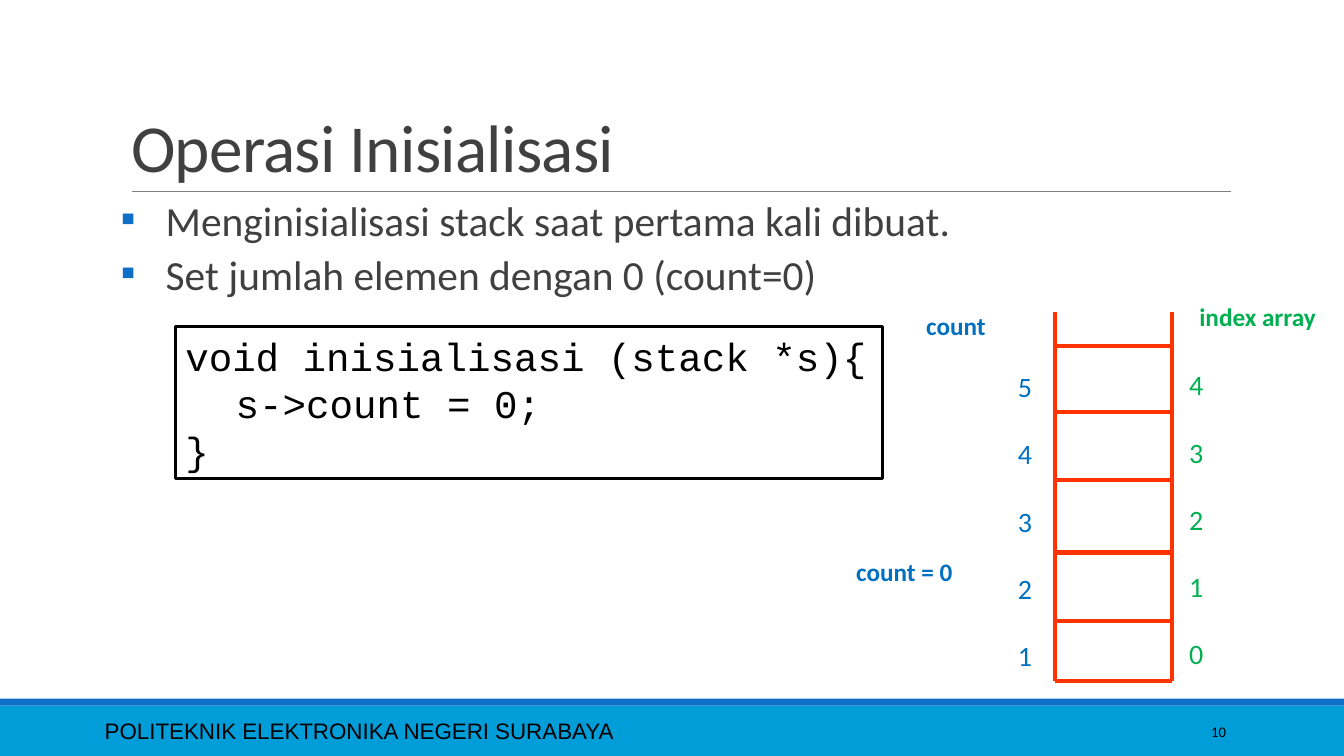
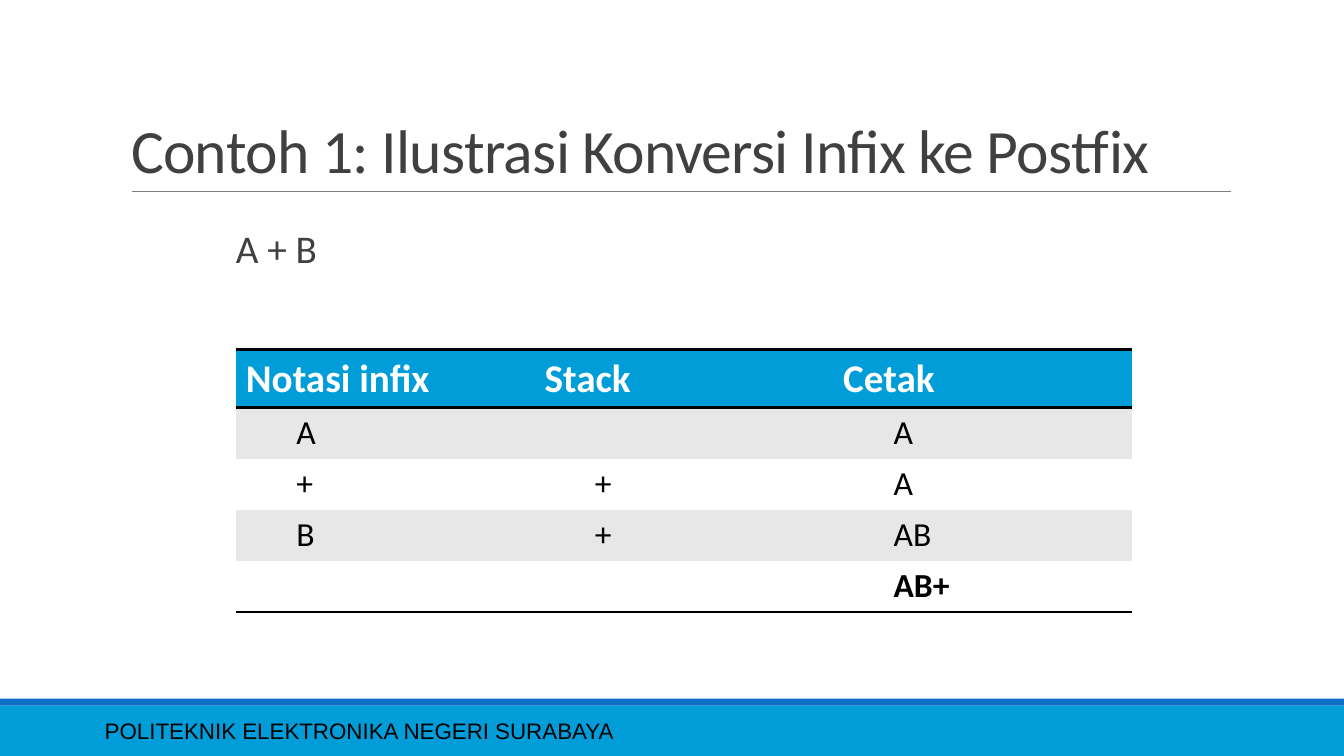
from lxml import etree
from pptx import Presentation
from pptx.dml.color import RGBColor
from pptx.enum.shapes import MSO_CONNECTOR, MSO_SHAPE
from pptx.enum.text import MSO_ANCHOR, MSO_AUTO_SIZE, PP_ALIGN
from pptx.oxml.ns import qn
from pptx.util import Pt

STRAIGHT = MSO_CONNECTOR.STRAIGHT
RECTANGLE = MSO_SHAPE.RECTANGLE
MIDDLE, BOTTOM = MSO_ANCHOR.MIDDLE, MSO_ANCHOR.BOTTOM
NO_FIT = MSO_AUTO_SIZE.NONE
LEFT, CENTER, RIGHT = PP_ALIGN.LEFT, PP_ALIGN.CENTER, PP_ALIGN.RIGHT

WIDTH, HEIGHT = 960, 540
BLACK, WHITE, GRAY = "000000", "FFFFFF", "404040"
BLUE, DARK_BLUE, RULE_GRAY = "009DD9", "0F6FC6", "808080"
STACK_RED, COUNT_BLUE, INDEX_GREEN = "FF3300", "0070C0", "00B050"
STRIPE = "E7E7E7"
BODY_FONT, FOOTER_FONT, CODE_FONT = "Calibri", "Arial", "Courier New"
NO_STYLE = "{2D5ABB26-0587-4C30-8999-92F81FD0307C}"

FOOTER = "POLITEKNIK ELEKTRONIKA NEGERI SURABAYA"

INIT_TITLE = "Operasi Inisialisasi"
INIT_POINTS = [
    "Menginisialisasi stack saat pertama kali dibuat.",
    "Set jumlah elemen dengan 0 (count=0)",
]
INIT_CODE = [(0, "void inisialisasi (stack *s){"), (36, "s->count = 0;"), (0, "}")]
STACK_LEFT, STACK_RIGHT = 753.8, 837.4
STACK_TOP, STACK_BOTTOM = 223.2, 486.7
STACK_RUNGS = [247, 294.5, 342.7, 394.6, 443.5, STACK_BOTTOM]
# box, numbers from top to bottom, colour
STACK_NUMBERS = [
    ((720, 260.6, 24.5, 225.4), "54321", COUNT_BLUE),
    ((842.4, 259.2, 24.5, 225.4), "43210", INDEX_GREEN),
]
# box, text, colour, alignment
STACK_LABELS = [
    ((596.2, 393.8, 99.4, 28.8), "count = 0", COUNT_BLUE, CENTER),
    ((654.5, 218.2, 99.4, 28.8), "count", COUNT_BLUE, LEFT),
    ((849.6, 211.7, 99.4, 28.8), "index array", INDEX_GREEN, LEFT),
]

POSTFIX_TITLE = "Contoh 1: Ilustrasi Konversi Infix ke Postfix"
EXPRESSION = "A + B"
CONVERSION = [
    ("Notasi infix", "Stack", "Cetak"),
    ("A", "", "A"),
    ("+", "+", "A"),
    ("B", "+", "AB"),
    ("", "", "AB+"),
]


def rgb(color):
    return RGBColor.from_string(color)


def points(values):
    return [Pt(value) for value in values]


def style(para, size, color, font=BODY_FONT, bold=False):
    para.font.name = font
    para.font.size = Pt(size)
    para.font.bold = bold
    para.font.color.rgb = rgb(color)


def indent(para, left, first=0):
    properties = para._p.get_or_add_pPr()
    properties.set("marL", str(Pt(left)))
    properties.set("indent", str(Pt(first)))


def write(frame, lines, size, color, font=BODY_FONT, bold=False, align=LEFT):
    """Fill the frame with one paragraph per line and return the paragraphs."""
    frame.text = "\n".join(lines)
    for para in frame.paragraphs:
        style(para, size, color, font, bold)
        para.alignment = align
    return frame.paragraphs


def add_text(slide, box, lines, size, color, **options):
    frame = slide.shapes.add_textbox(*points(box)).text_frame
    frame.word_wrap = True
    return frame, write(frame, lines, size, color, **options)


def add_body(slide, box, lines, size, spacing):
    frame, paras = add_text(slide, box, lines, size, GRAY)
    frame.margin_left = frame.margin_right = 0
    for para in paras:
        para.line_spacing = spacing
        para.space_before, para.space_after = Pt(12), Pt(2)
    return paras


def add_bullet(para):
    indent(para, 32, -32)
    properties = para._p.get_or_add_pPr()
    bullet_color = etree.SubElement(properties, qn("a:buClr"))
    etree.SubElement(bullet_color, qn("a:srgbClr"), val=DARK_BLUE)
    etree.SubElement(properties, qn("a:buFont"), typeface=BODY_FONT)
    etree.SubElement(properties, qn("a:buChar"), char="▪")


def add_box(slide, box, fill=None, line=None):
    shape = slide.shapes.add_shape(RECTANGLE, *points(box))
    shape.shadow.inherit = False
    if fill:
        shape.fill.solid()
        shape.fill.fore_color.rgb = rgb(fill)
    else:
        shape.fill.background()
    if line:
        shape.line.color.rgb = rgb(line)
        shape.line.width = Pt(2.25)
    else:
        shape.line.fill.background()
    return shape


def add_line(slide, ends, color, width):
    line = slide.shapes.add_connector(STRAIGHT, *points(ends))
    line.line.color.rgb = rgb(color)
    line.line.width = Pt(width)
    etree.SubElement(line.element.spPr, qn("a:effectLst"))


def add_slide(deck, title, title_size):
    """Add a slide with the shared bands, title rule, footer and title."""
    slide = deck.slides.add_slide(deck.slide_layouts[5])
    add_box(slide, (0, 504, WIDTH, 36), BLUE)
    add_box(slide, (0, 499, WIDTH, 5), DARK_BLUE)
    add_line(slide, (94.3, 136.8, 879, 136.8), RULE_GRAY, 0.5)
    footer, _ = add_text(slide, (67.7, 507.6, 605.5, 28.8), [FOOTER], 16, BLACK,
                         font=FOOTER_FONT)
    footer.vertical_anchor = MIDDLE

    holder = slide.shapes.title
    holder.left, holder.top, holder.width, holder.height = points((86.4, 22.3, 792, 114.5))
    frame = holder.text_frame
    frame.auto_size = NO_FIT
    frame.vertical_anchor = BOTTOM
    para = write(frame, [title], title_size, GRAY)[0]
    para.line_spacing = 0.85
    para.runs[0].font._element.set("spc", "-50")
    return slide


def add_stack(slide):
    for x in (STACK_LEFT, STACK_RIGHT):
        add_line(slide, (x, STACK_TOP, x, STACK_BOTTOM), STACK_RED, 3)
    for y in STACK_RUNGS:
        add_line(slide, (STACK_LEFT, y, STACK_RIGHT, y), STACK_RED, 3)
    for box, numbers, color in STACK_NUMBERS:
        frame, paras = add_text(slide, box, numbers, 20, color)
        frame.word_wrap = False
        for para in paras[1:]:
            para.space_before = Pt(24)
    for box, label, color, align in STACK_LABELS:
        add_text(slide, box, [label], 18, color, bold=True, align=align)


def add_initialisation_slide(deck):
    slide = add_slide(deck, INIT_TITLE, 48)
    number, _ = add_text(slide, (779.8, 508.3, 103, 28.8), ["10"], 10.5, BLACK, align=RIGHT)
    number.vertical_anchor = MIDDLE
    for para in add_body(slide, (86.4, 145.4, 792, 77.8), INIT_POINTS, 29.6, 0.7):
        add_bullet(para)
    code = add_box(slide, (125.3, 233.3, 505.4, 108.7), line=BLACK).text_frame
    paras = write(code, [text for _, text in INIT_CODE], 28, BLACK, CODE_FONT)
    for para, (left, _) in zip(paras, INIT_CODE):
        indent(para, left)
    add_stack(slide)


def add_border(cell, side):
    line = etree.SubElement(cell._tc.get_or_add_tcPr(), qn("a:" + side), w=str(Pt(2)))
    fill = etree.SubElement(line, qn("a:solidFill"))
    etree.SubElement(fill, qn("a:srgbClr"), val=BLACK)


def add_conversion_table(slide):
    last = len(CONVERSION) - 1
    frame = slide.shapes.add_table(last + 1, 3, *points((168.5, 249.8, 640, 187.4)))
    table = frame.table
    next(frame.element.iter(qn("a:tableStyleId"))).text = NO_STYLE
    for row_index, texts in enumerate(CONVERSION):
        header = row_index == 0
        table.rows[row_index].height = Pt(41.4 if header else 36.5)
        for column, text in enumerate(texts):
            cell = table.cell(row_index, column)
            if header:
                add_border(cell, "lnT")
            if row_index in (0, last):
                add_border(cell, "lnB")
            cell.fill.solid()
            cell.fill.fore_color.rgb = rgb(BLUE if header else STRIPE if row_index % 2 else WHITE)
            para = write(cell.text_frame, [text], 28 if header else 24,
                         WHITE if header else BLACK, bold=row_index in (0, last))[0]
            if not header:
                indent(para, 36)


def add_postfix_slide(deck):
    slide = add_slide(deck, POSTFIX_TITLE, 44)
    add_body(slide, (168.5, 163.4, 72.7, 36.7), [EXPRESSION], 28, 0.8)
    add_conversion_table(slide)


def main():
    deck = Presentation()
    deck.slide_width, deck.slide_height = Pt(WIDTH), Pt(HEIGHT)
    add_initialisation_slide(deck)
    add_postfix_slide(deck)
    deck.save("out.pptx")


if __name__ == "__main__":
    main()
